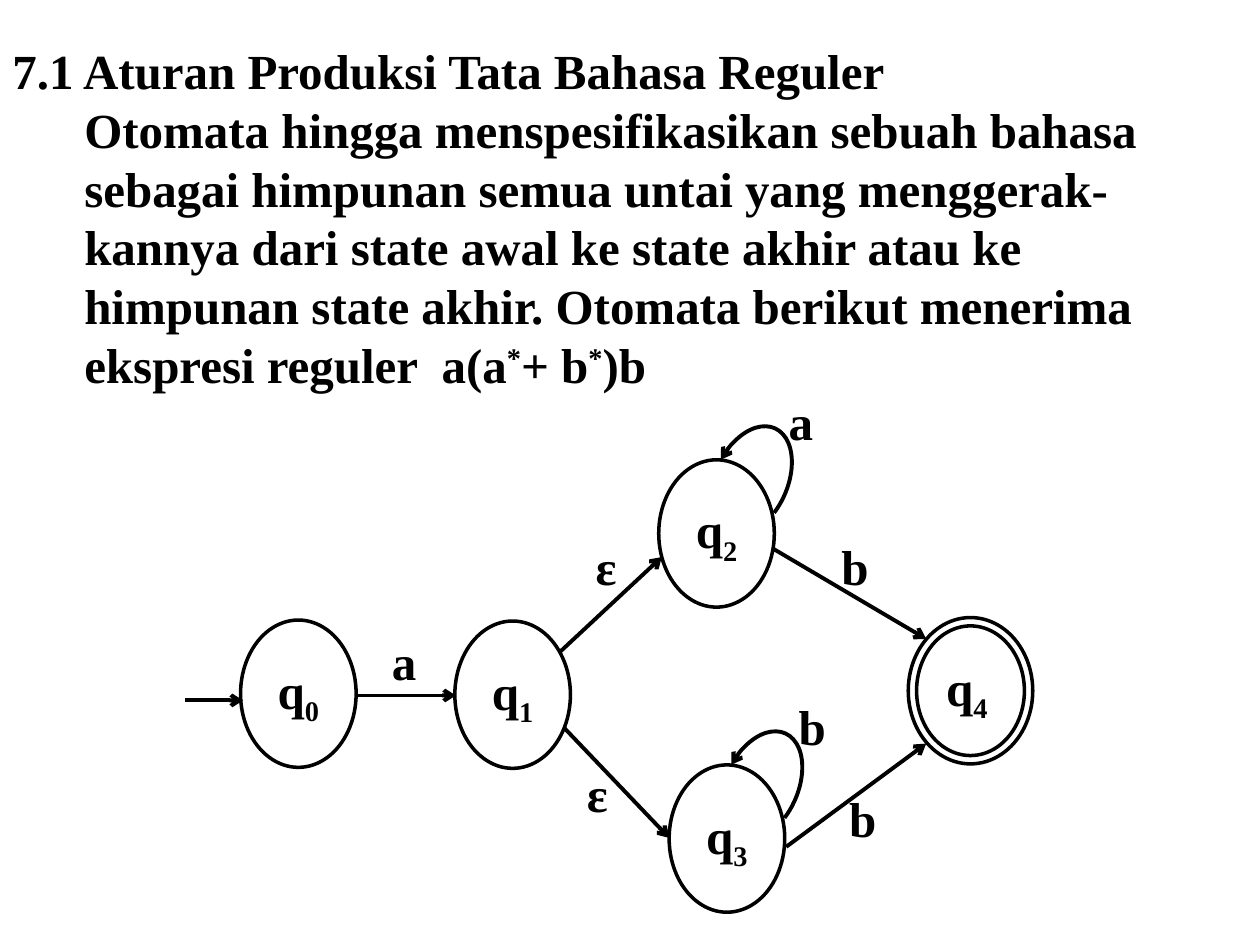
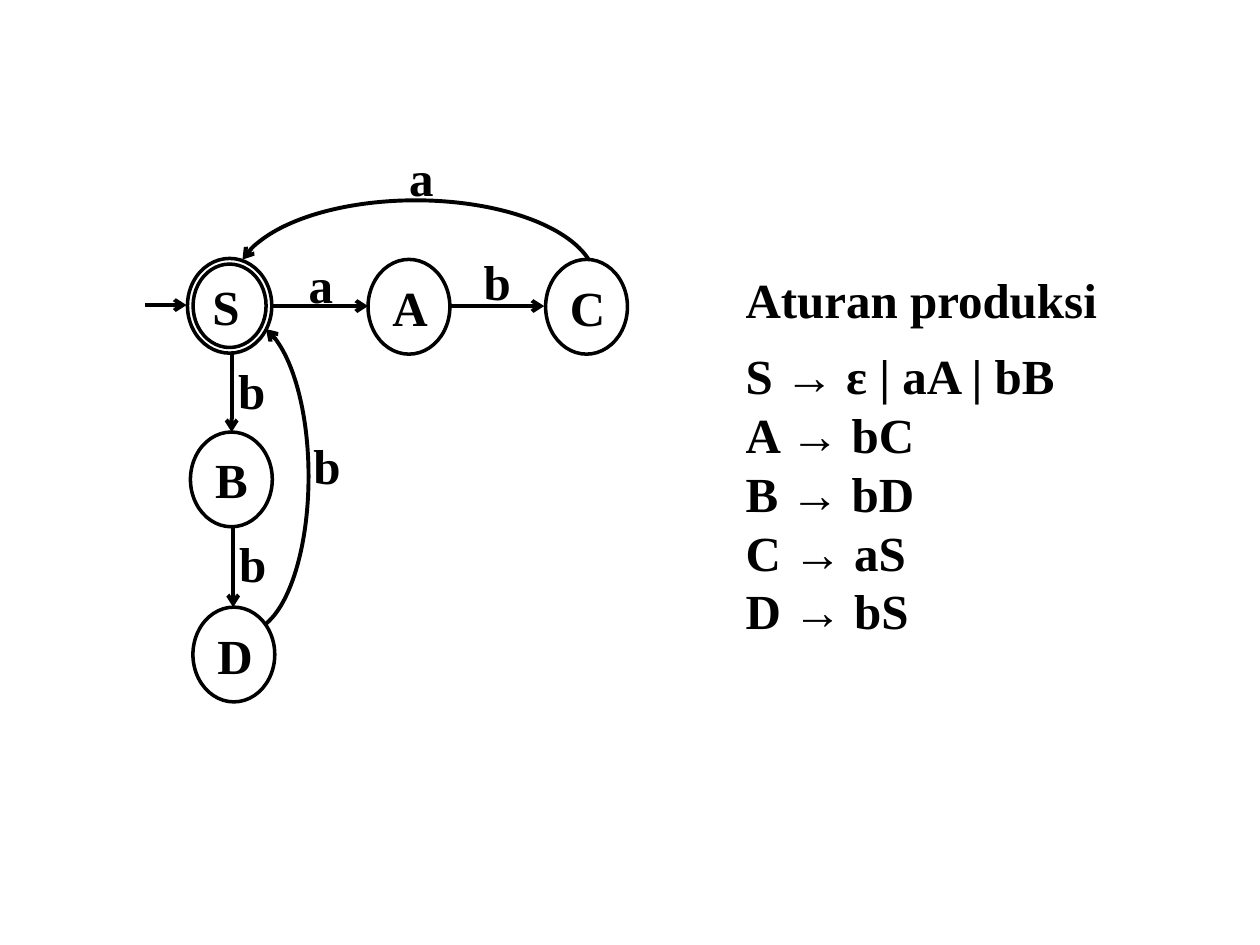
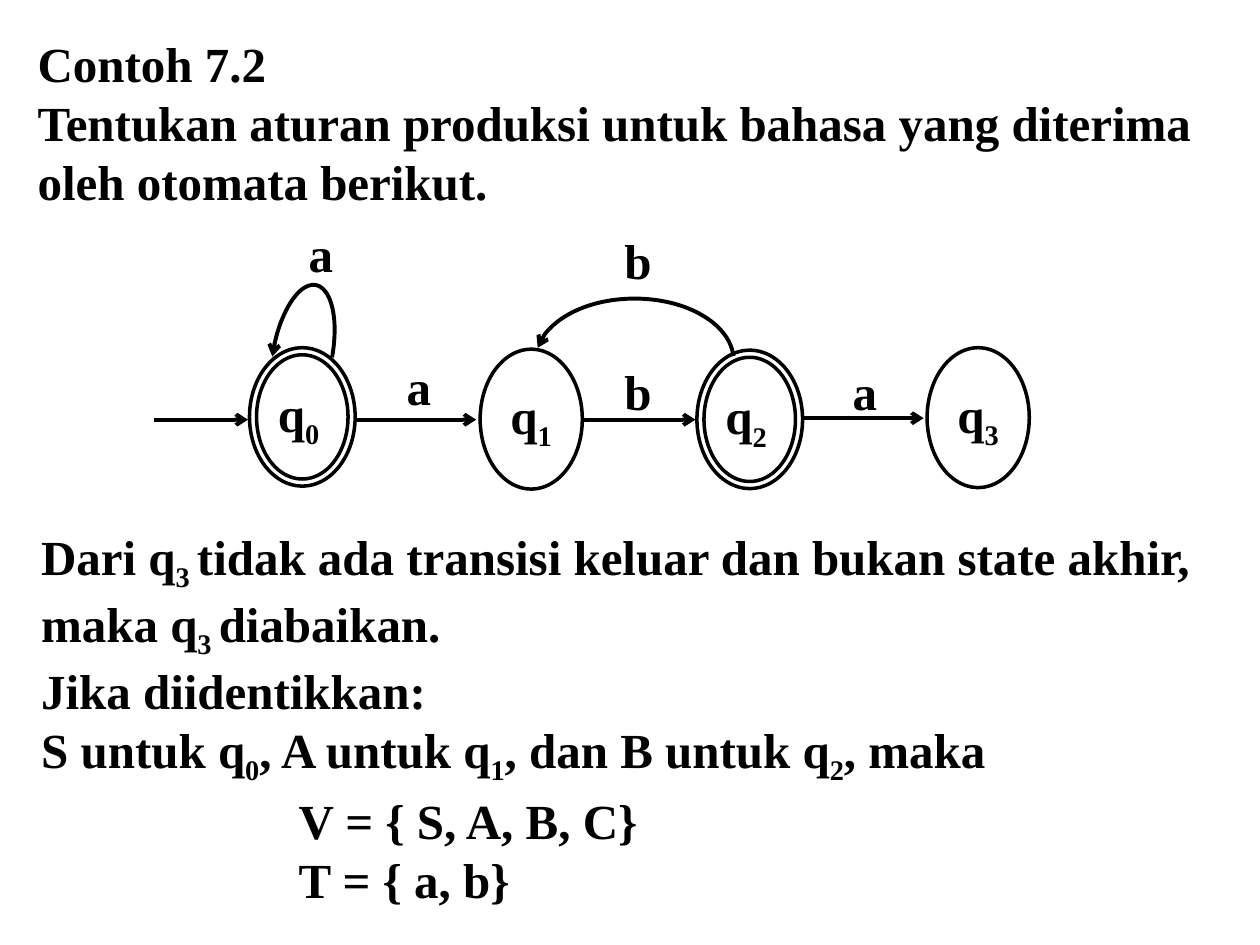
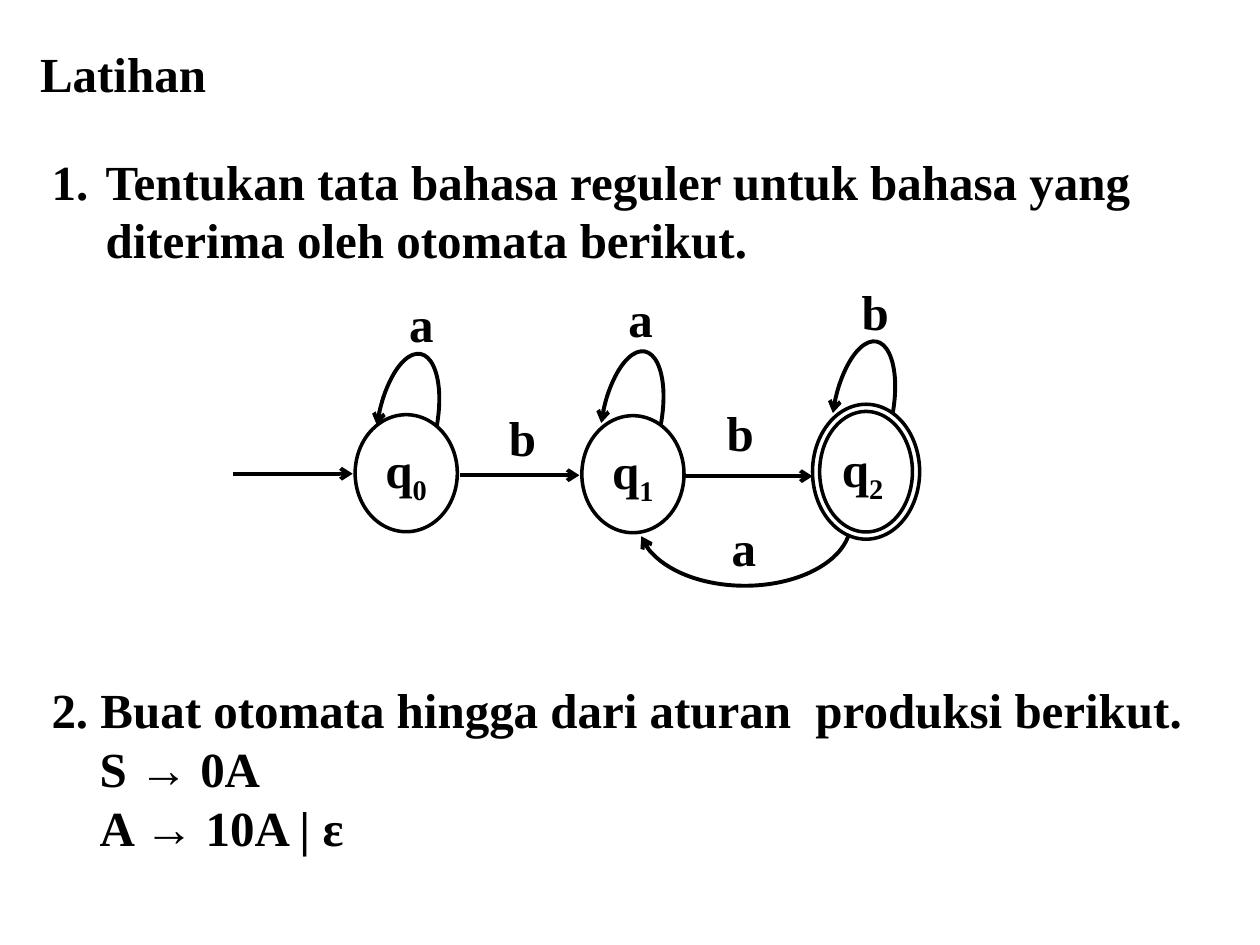
"""Build four slides on production rules of regular grammars."""
from lxml.etree import SubElement
from pptx import Presentation
from pptx.dml.color import RGBColor
from pptx.enum.shapes import MSO_CONNECTOR as CONNECTOR, MSO_SHAPE as SHAPE
from pptx.enum.text import MSO_ANCHOR as ANCHOR, MSO_AUTO_SIZE as AUTO_SIZE, PP_ALIGN as ALIGN
from pptx.oxml.ns import qn
from pptx.util import Cm, Pt

INK = "000000"
PAPER = "FFFFFF"
FONT = "Times New Roman"
TEXT_SIZE = 28
NODE_LINE = 2
ARROW_LINE = 2.25
RING = 0.067
LABEL_SIZE = {"a": (1.02, 1.45), "b": (1.07, 1.45), "ε": (0.94, 1.45)}
COMPACT_SIZE = {"a": (0.74, 0.94), "b": (0.89, 1.17)}
BEND = (112.44, 211.6)
ROUND_LOOP = {"size": (1.47, 2.34), "sweep": (114.49, 17.33), "turn": 24.8}
TALL_LOOP = {"size": (1.19, 2.79), "sweep": (97.44, 214.55), "turn": 10.9}


def color(hex_code):
    """Turn a hex string into a colour."""
    return RGBColor.from_string(hex_code)


def add_span(para, text, baseline=0, size=TEXT_SIZE, font=FONT, bold=True):
    """Add one run, raised or lowered by a percentage."""
    span = para.add_run()
    span.text = text
    span.font.size = Pt(size)
    span.font.name = font
    span.font.bold = bold
    span.font.color.rgb = color(INK)
    if baseline:
        span.font._element.set("baseline", str(baseline * 1000))


def add_spans(para, text):
    """Add runs, with pieces between ^ marks raised and between _ marks lowered."""
    mark, shift = ("^", 30) if "^" in text else ("_", -25)
    for index, piece in enumerate(text.split(mark)):
        if piece:
            add_span(para, piece, shift if index % 2 else 0)


def line_of(text, margin=0, indent=0, before=0, number=False):
    """Describe one paragraph with its indents in centimetres and its gap in points."""
    return {"text": text, "margin": margin, "indent": indent, "before": before, "number": number}


def add_text(page, left, top, width, height, lines, wrap=True):
    """Add a text box with one paragraph per line."""
    box = page.shapes.add_textbox(Cm(left), Cm(top), Cm(width), Cm(height))
    frame = box.text_frame
    frame.word_wrap = wrap
    frame.auto_size = AUTO_SIZE.SHAPE_TO_FIT_TEXT
    for index, line in enumerate(lines):
        para = frame.add_paragraph() if index else frame.paragraphs[0]
        if isinstance(line, str):
            line = line_of(line)
        para.space_before = Pt(line["before"])
        layout = para._p.get_or_add_pPr()
        layout.set("marL", str(Cm(line["margin"])))
        layout.set("indent", str(Cm(line["indent"])))
        if line["number"]:
            SubElement(layout, qn("a:buAutoNum"), type="arabicPeriod")
        add_spans(para, line["text"])


def add_labels(page, labels, sizes=COMPACT_SIZE):
    """Add transition symbols."""
    for symbol, left, top in labels:
        add_text(page, left, top, *sizes[symbol], [symbol], wrap=False)


def add_outline(page, kind, left, top, size, weight):
    """Add an unfilled preset shape with a plain line."""
    width, height = size
    shape = page.shapes.add_shape(kind, Cm(left), Cm(top), Cm(width), Cm(height))
    shape.shadow.inherit = False
    shape.fill.background()
    shape.line.color.rgb = color(INK)
    shape.line.width = Pt(weight)
    return shape


def add_node(page, name, left, top, size, final=False):
    """Add a state, with a double ring when it is final."""
    kind = SHAPE.DONUT if final else SHAPE.OVAL
    node = add_outline(page, kind, left, top, size, NODE_LINE)
    frame = node.text_frame
    frame.vertical_anchor = ANCHOR.MIDDLE
    para = frame.paragraphs[0]
    para.alignment = ALIGN.CENTER
    add_spans(para, name)
    if final:
        node.adjustments[0] = RING
        add_span(para, " ", size=18, font="Calibri", bold=False)


def add_nodes(page, nodes, size):
    """Add ordinary states of one size."""
    for name, left, top in nodes:
        add_node(page, name, left, top, size)


def add_arrows(page, arrows):
    """Add straight arrows given as start and end points."""
    for ends in arrows:
        arrow = page.shapes.add_connector(CONNECTOR.STRAIGHT, *(Cm(value) for value in ends))
        arrow.line.color.rgb = color(INK)
        arrow.line.width = Pt(ARROW_LINE)
        SubElement(arrow.line._get_or_add_ln(), qn("a:tailEnd"), type="arrow")
        SubElement(arrow._element.spPr, qn("a:effectLst"))


def add_arc(page, left, top, size, sweep=BEND, turn=0, flip=False):
    """Add a curved arrow that points at the start of its sweep."""
    arc = add_outline(page, SHAPE.ARC, left, top, size, ARROW_LINE)
    arc.adjustments[0], arc.adjustments[1] = sweep
    arc.rotation = turn
    if flip:
        arc._element.spPr.find(qn("a:xfrm")).set("flipV", "1")
    SubElement(arc.line._get_or_add_ln(), qn("a:headEnd"), type="arrow")


def add_page(deck):
    """Add a blank white slide."""
    page = deck.slides.add_slide(deck.slide_layouts[6])
    page.background.fill.solid()
    page.background.fill.fore_color.rgb = color(PAPER)
    return page


def build_introduction(deck):
    """Explain regular grammars with a five-state automaton."""
    page = add_page(deck)
    add_text(page, 0, 0.69, 23.93, 7.44, [
        "7.1 Aturan Produksi Tata Bahasa Reguler",
        line_of("Otomata hingga menspesifikasikan sebuah bahasa", 1.45),
        line_of("sebagai himpunan semua untai yang menggerak- kannya dari state awal ke "
                "state akhir atau ke himpunan state akhir. Otomata berikut menerima "
                "ekspresi reguler  a(a^*^+ b^*^)b", 1.45),
    ])
    add_nodes(page, [("q_0_", 4.85, 12.5), ("q_1_", 9.17, 12.52),
                     ("q_2_", 13.28, 9.27), ("q_3_", 13.49, 15.42)], (2.33, 2.97))
    add_node(page, "q_4_", 18.31, 12.45, (2.51, 2.95), final=True)
    add_arrows(page, [
        (3.73, 14.12, 4.9, 14.12), (7.21, 14.02, 9.19, 14.02),
        (11.3, 13.13, 13.34, 11.23), (11.38, 14.68, 13.49, 16.89),
        (15.6, 11.07, 18.67, 12.88), (15.85, 17.07, 18.67, 14.99),
    ])
    for left, top in [(14.4, 8.53), (14.61, 14.68)]:
        add_arc(page, left, top, **ROUND_LOOP)
    add_labels(page, [
        ("a", 7.65, 12.6), ("ε", 11.76, 10.69), ("ε", 11.58, 15.27), ("a", 15.65, 7.77),
        ("b", 15.85, 13.92), ("b", 16.71, 10.69), ("b", 16.87, 15.77),
    ], LABEL_SIZE)


def build_rules(deck):
    """Show an automaton beside its production rules."""
    page = add_page(deck)
    add_text(page, 14.78, 5.31, 9.53, 7.77, [
        "Aturan produksi", line_of("S → ε | aA | bB", before=9.8),
        "A → bC", "B → bD", "C → aS", "D → bS",
    ])
    add_node(page, "S", 3.78, 5.21, (1.7, 1.91), final=True)
    add_nodes(page, [("A", 7.42, 5.23), ("C", 11, 5.23),
                     ("B", 3.84, 8.71), ("D", 3.89, 12.24)], (1.65, 1.91))
    add_arrows(page, [
        (2.92, 6.15, 3.76, 6.15), (5.49, 6.17, 7.42, 6.17), (9.04, 6.17, 10.97, 6.17),
        (4.67, 7.09, 4.67, 8.71), (4.7, 10.62, 4.7, 12.24),
    ])
    add_arc(page, 4.75, 4.04, (7.26, 3.3))
    add_arc(page, 1.85, 8.36, (6.25, 2.49), turn=90)
    add_labels(page, [("a", 8, 2.84), ("a", 5.97, 5), ("b", 9.5, 4.95),
                      ("b", 6.07, 8.66), ("b", 4.55, 7.14), ("b", 4.57, 10.64)])


def build_example(deck):
    """Work through example 7.2."""
    page = add_page(deck)
    add_text(page, 0.51, 0.56, 23.93, 3.84, [
        "Contoh 7.2", "Tentukan aturan produksi untuk bahasa yang diterima",
        "oleh otomata berikut.",
    ])
    add_text(page, 5.77, 15.82, 7.67, 2.64, ["V = { S, A, B, C}", "T = { a, b}"])
    add_text(page, 0.58, 10.49, 24.82, 5.05, [
        "Dari q_3 _tidak ada transisi keluar dan bukan state akhir, maka q_3 _diabaikan.",
        "Jika diidentikkan:",
        "S untuk q_0_, A untuk q_1_, dan B untuk q_2_, maka",
    ])
    add_nodes(page, [("q_1_", 9.68, 7.04), ("q_3_", 18.69, 7.01)], (2.06, 2.82))
    for name, left, top in [("q_0_", 5.03, 7.01), ("q_2_", 14.05, 7.06)]:
        add_node(page, name, left, top, (2.13, 2.79), final=True)
    add_arrows(page, [(3.1, 8.46, 5, 8.46), (7.19, 8.46, 9.6, 8.46),
                      (11.73, 8.46, 14.02, 8.46), (16.21, 8.43, 18.62, 8.43)])
    add_arc(page, 10.8, 6.02, (3.99, 2.49), sweep=(112.44, 214.55))
    add_arc(page, 5.51, 5.72, **TALL_LOOP)
    add_labels(page, [("a", 5.97, 4.39), ("a", 7.95, 7.06), ("b", 12.34, 7.16),
                      ("b", 12.34, 4.52), ("a", 16.94, 7.16)])


def build_exercises(deck):
    """Set the two exercises."""
    page = add_page(deck)
    add_text(page, 0.56, 0.76, 3.89, 1.45, ["Latihan"], wrap=False)
    add_text(page, 0.79, 2.92, 23.83, 14.63, [
        line_of("Tentukan tata bahasa reguler untuk bahasa yang", 1.09, -1.09, number=True),
        line_of("diterima oleh otomata berikut.", 1.09),
        line_of("2. Buat otomata hingga dari aturan  produksi berikut.", 0.97, -0.97, before=235),
        line_of("S → 0A", 0.97),
        line_of("A → 10A | ε", 0.97),
    ], wrap=False)
    add_nodes(page, [("q_0_", 7.16, 8.36), ("q_1_", 11.73, 8.38)], (2.06, 2.36))
    add_node(page, "q_2_", 16.38, 8.15, (2.16, 2.72), final=True)
    add_arrows(page, [(4.7, 9.55, 7.11, 9.55), (9.27, 9.58, 11.68, 9.58),
                      (13.79, 9.6, 16.38, 9.6)])
    add_arc(page, 12.88, 9.27, (4.27, 2.54), flip=True)
    for left, top in [(7.62, 7.11), (12.14, 7.06), (16.81, 6.86)]:
        add_arc(page, left, top, **TALL_LOOP)
    add_labels(page, [("a", 8, 5.79), ("b", 10.01, 8.1), ("b", 17.12, 5.56)])
    add_labels(page, [("a", 12.42, 5.69), ("b", 14.4, 7.98), ("a", 14.5, 10.31)], LABEL_SIZE)


def main():
    """Build and save the deck."""
    deck = Presentation()
    deck.slide_width = Cm(25.4)
    deck.slide_height = Cm(19.05)
    for build in (build_introduction, build_rules, build_example, build_exercises):
        build(deck)
    deck.save("out.pptx")


if __name__ == "__main__":
    main()
